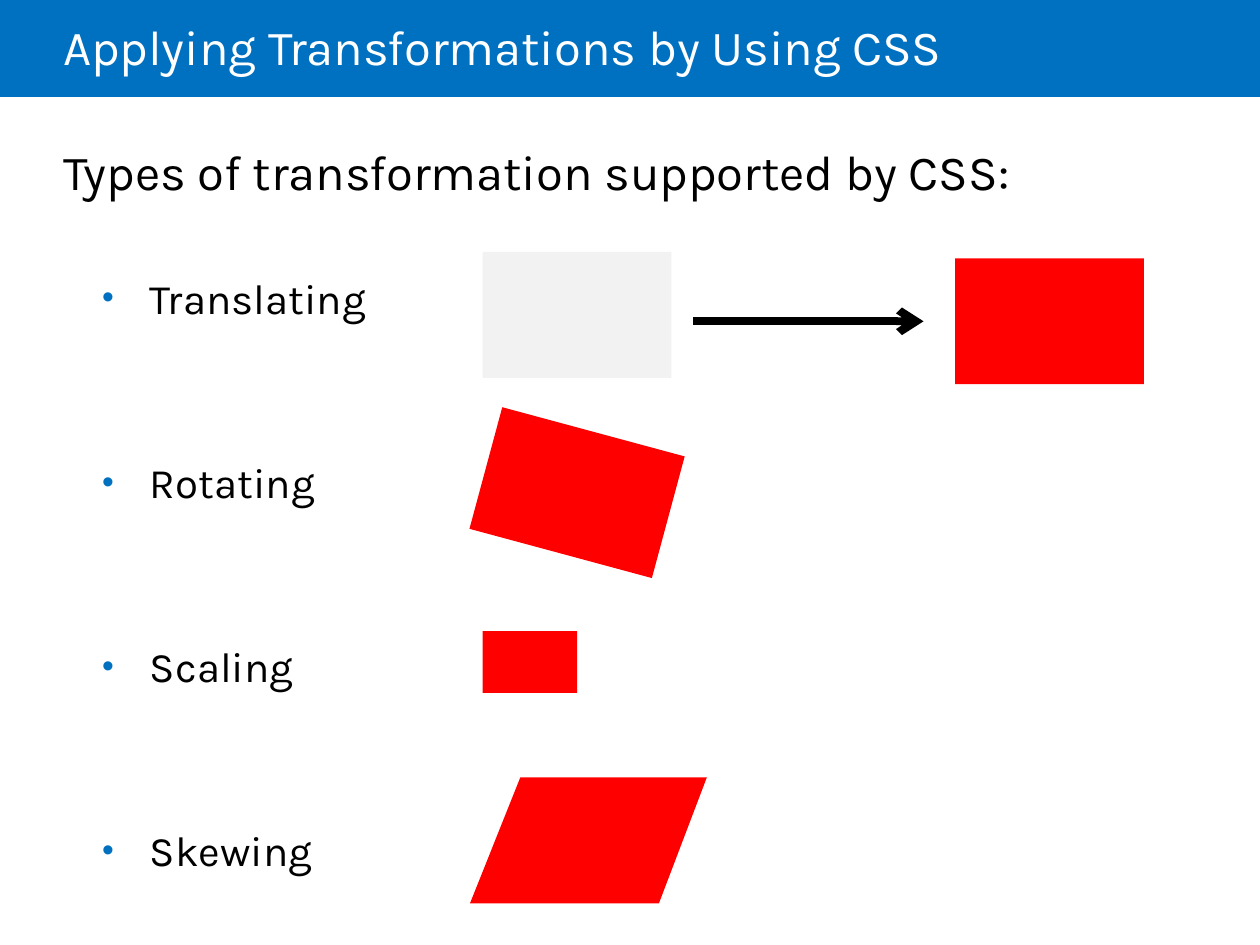
"""Build a slide on the transformation types supported by CSS."""
from lxml import etree
from pptx import Presentation
from pptx.dml.color import RGBColor
from pptx.enum.shapes import MSO_CONNECTOR, MSO_SHAPE
from pptx.enum.text import MSO_ANCHOR, MSO_AUTO_SIZE, PP_ALIGN
from pptx.oxml.ns import qn
from pptx.util import Inches, Pt

RECT = MSO_SHAPE.RECTANGLE
STRAIGHT = MSO_CONNECTOR.STRAIGHT
MIDDLE, TOP = MSO_ANCHOR.MIDDLE, MSO_ANCHOR.TOP
LEFT, NO_FIT = PP_ALIGN.LEFT, MSO_AUTO_SIZE.NONE

BLUE = RGBColor(0x00, 0x70, 0xC0)
RED = RGBColor(0xFF, 0x00, 0x00)
GRAY = RGBColor(0xF2, 0xF2, 0xF2)
BLACK = RGBColor(0x00, 0x00, 0x00)
WHITE = RGBColor(0xFF, 0xFF, 0xFF)
FONT = "Karla"

TITLE = "Applying Transformations by Using CSS"
HEADING = "Types of transformation supported by CSS:"
TYPES = ["Translating", "Rotating", "Scaling", "Skewing"]
FIRST_GAP, TYPE_GAP = 41.2, 76.5

BOX_X, BOX_W, BOX_H = 3.83, 1.5, 1
BOXES = [
    (BOX_X, 2, BOX_W, BOX_H, GRAY, 0),
    (7.58, 2.05, BOX_W, BOX_H, RED, 0),
    (BOX_X, 3.41, BOX_W, BOX_H, RED, 15.1),
    (BOX_X, 5.01, BOX_W / 2, 0.49, RED, 0),
]
ARROW = (5.5, 2.55, 7.33, 2.55)
SKEWED = [(4.13, 6.17), (5.61, 6.17), (5.23, 7.17), (3.73, 7.17)]


def paint(shape, color):
    shape.shadow.inherit = False
    shape.fill.solid()
    shape.fill.fore_color.rgb = color
    shape.line.fill.background()


def add_box(shapes, left, top, width, height, color, angle=0):
    box = shapes.add_shape(RECT, *map(Inches, (left, top, width, height)))
    box.rotation = angle
    paint(box, color)
    return box


def place(shape, bounds, insets, anchor):
    shape.left, shape.top, shape.width, shape.height = map(Inches, bounds)
    tf = shape.text_frame
    settings = dict(zip(("margin_left", "margin_top", "margin_right", "margin_bottom"),
                        map(Inches, insets)))
    settings.update(vertical_anchor=anchor, word_wrap=True, auto_size=NO_FIT)
    for name, value in settings.items():
        setattr(tf, name, value)
    return tf


def write(p, text, size, color, before=0, spacing=1.0):
    p.alignment = LEFT
    p.space_before, p.line_spacing = Pt(before), spacing
    r = p.add_run()
    r.text = text
    r.font.name, r.font.size, r.font.color.rgb = FONT, Pt(size), color


def set_bullet(p, shown):
    pPr = p._p.get_or_add_pPr()
    pPr.set("marL", str(Inches(0.69) if shown else 0))
    pPr.set("indent", str(Inches(-0.38) if shown else 0))
    if not shown:
        etree.SubElement(pPr, qn("a:buNone"))
        return
    color = etree.SubElement(pPr, qn("a:buClr"))
    etree.SubElement(color, qn("a:srgbClr"), val=str(BLUE))
    etree.SubElement(pPr, qn("a:buSzPct"), val="80000")
    etree.SubElement(pPr, qn("a:buFont"), typeface="Arial")
    etree.SubElement(pPr, qn("a:buChar"), char="•")


prs = Presentation()
prs.slide_width, prs.slide_height = Inches(10), Inches(7.5)
s = prs.slides.add_slide(prs.slide_layouts[1])
shapes = s.shapes

band = add_box(shapes, 0, 0, 10, 0.77, BLUE)
shapes.title._element.addprevious(band._element)

tf = place(shapes.title, (0.5, 0, 8.5, 0.81), (0, 0.05, 0.1, 0.05), MIDDLE)
write(tf.paragraphs[0], TITLE, 28, WHITE, spacing=0.85)

tf = place(s.placeholders[1], (0.5, 1.12, 8.88, 5.63), (0, 0, 0, 0), TOP)
write(tf.paragraphs[0], HEADING, 28, BLACK, before=6)
set_bullet(tf.paragraphs[0], False)
for i, name in enumerate(TYPES):
    p = tf.add_paragraph()
    p.level = 1
    write(p, name, 24, BLACK, before=TYPE_GAP if i else FIRST_GAP)
    set_bullet(p, True)

for box in BOXES:
    add_box(shapes, *box)

arrow = shapes.add_connector(STRAIGHT, *map(Inches, ARROW))
arrow.line.color.rgb, arrow.line.width = BLACK, Pt(4.5)
etree.SubElement(arrow.line._get_or_add_ln(), qn("a:tailEnd"), type="arrow")
etree.SubElement(arrow._element.spPr, qn("a:effectLst"))

corners = [(Inches(x), Inches(y)) for x, y in SKEWED]
outline = shapes.build_freeform(*corners[0])
outline.add_line_segments(corners[1:], close=True)
paint(outline.convert_to_shape(), RED)

prs.save("out.pptx")
